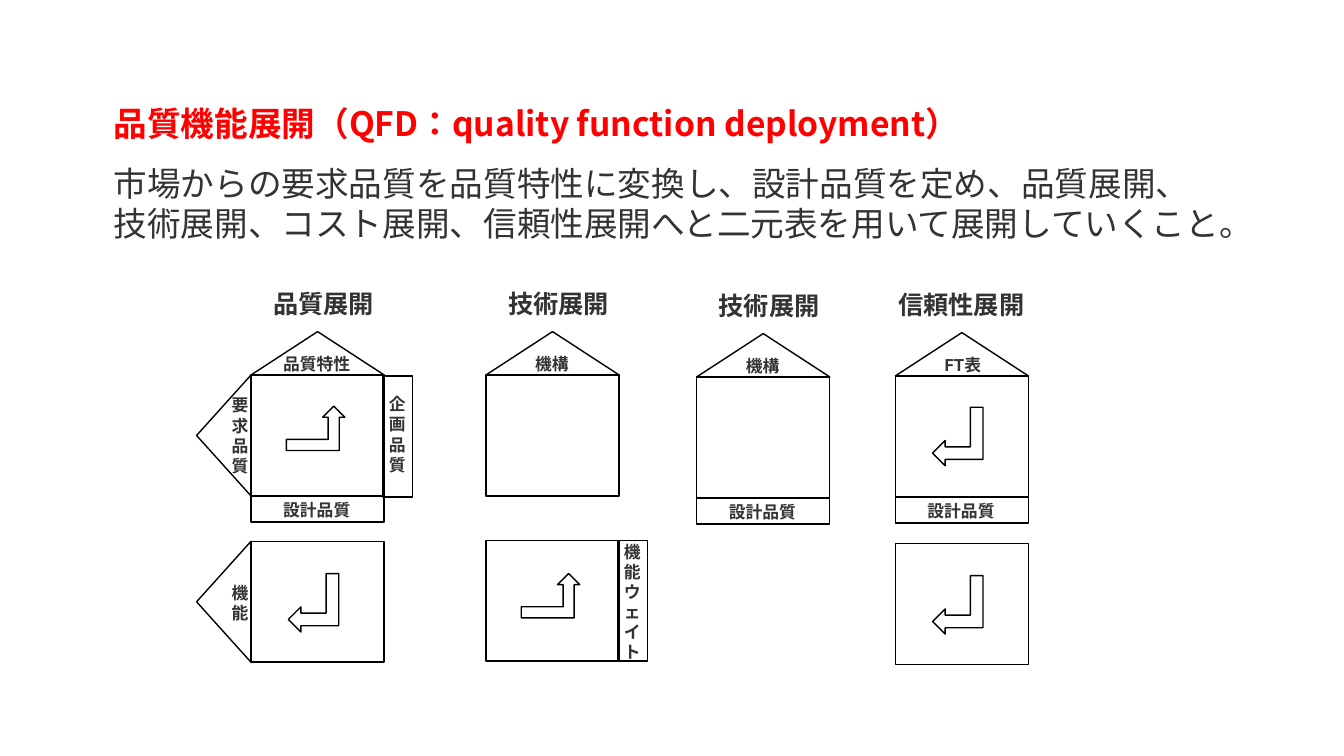
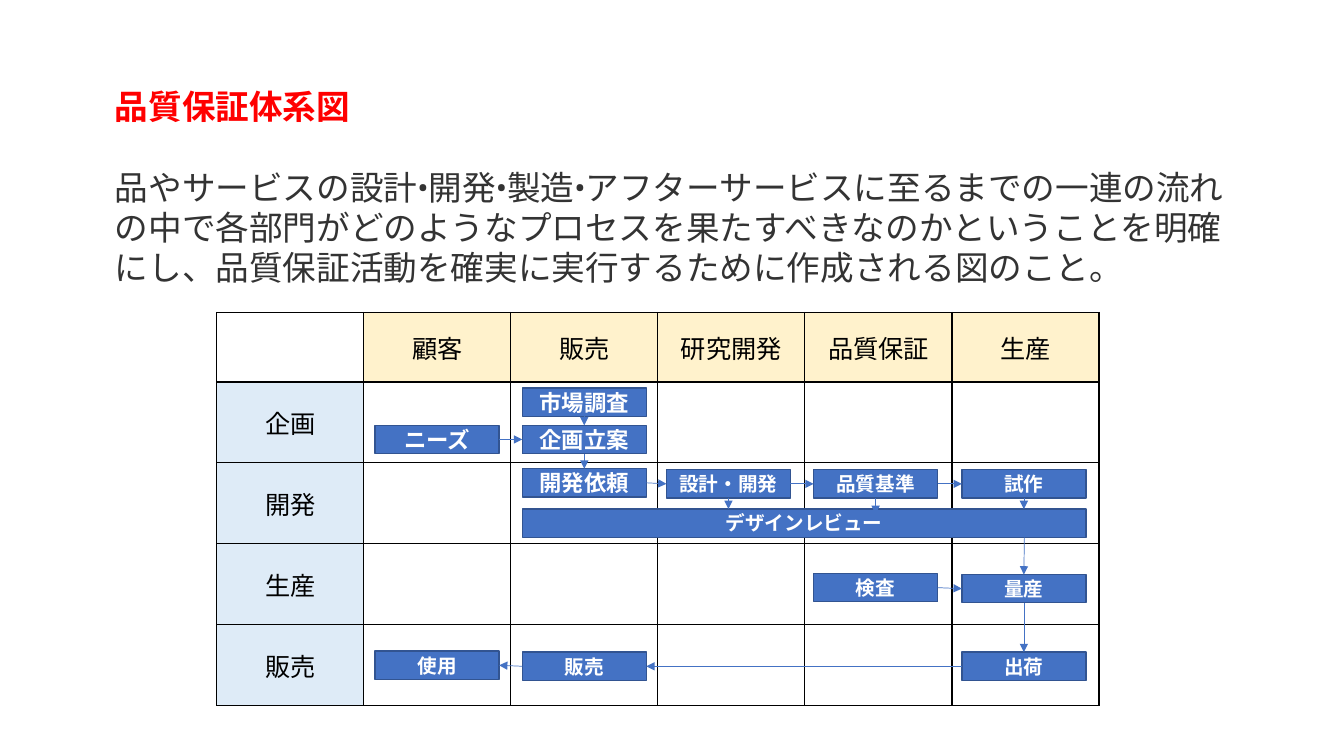
from lxml.etree import SubElement
from pptx import Presentation
from pptx.dml.color import RGBColor
from pptx.enum.shapes import MSO_CONNECTOR, MSO_SHAPE
from pptx.enum.text import MSO_ANCHOR, PP_ALIGN
from pptx.oxml.ns import qn
from pptx.util import Emu, Pt

TOP, LEFT, BOTTOM, RIGHT = range(4)


def px(length):
    return Emu(int(length * 9144))


def color(value):
    return RGBColor.from_string(value)


class Board:
    HEADING_FACE = "Noto Sans CJK JP"
    BODY_FACE = "Roboto"
    RED, GRAY, BLACK, WHITE = "FF0000", "333333", "000000", "FFFFFF"
    BLUE, DARK_BLUE = "4472C4", "325491"
    CREAM, PALE_BLUE = "FFF2CC", "DEEBF7"

    def __init__(self):
        self.deck = Presentation()
        self.deck.slide_width = px(1333)
        self.deck.slide_height = px(750)
        self.page = None

    def new_page(self):
        self.page = self.deck.slides.add_slide(self.deck.slide_layouts[6])

    def format(self, para, size, ink, bold, face):
        for span in para.runs:
            span.font.size = Pt(size)
            span.font.bold = bold
            span.font.color.rgb = color(ink)
            span.font.name = face
            properties = span._r.get_or_add_rPr()
            properties.set("lang", "ja-JP")
            SubElement(properties, qn("a:ea"), typeface=face)

    def center(self, para, size, ink, bold):
        para.alignment = PP_ALIGN.CENTER
        self.format(para, size, ink, bold, self.HEADING_FACE)

    def text(self, left, top, width, height, words):
        box = self.page.shapes.add_textbox(px(left), px(top), px(width), px(height))
        box.text_frame.word_wrap = True
        box.text_frame.text = words
        return box.text_frame.paragraphs

    def label(self, left, top, width, height, words, size=12):
        for para in self.text(left, top, width, height, words):
            self.format(para, size, self.GRAY, True, self.BODY_FACE)

    def intro(self, left, top, width, height, title, body, gap):
        heading, para = self.text(left, top, width, height, f"{title}\n{body}")
        self.format(heading, 24, self.RED, True, self.HEADING_FACE)
        self.format(para, 24, self.GRAY, False, self.BODY_FACE)
        para.space_before = Pt(gap)

    def shape(self, kind, left, top, width, height, fill=None, line=BLACK, turn=0):
        shape = self.page.shapes.add_shape(kind, px(left), px(top), px(width), px(height))
        shape.shadow.inherit = False
        if fill:
            shape.fill.solid()
            shape.fill.fore_color.rgb = color(fill)
        else:
            shape.fill.background()
        shape.line.color.rgb = color(line)
        shape.line.width = Pt(1)
        shape.rotation = turn
        return shape

    def matrix(self, left, top):
        self.shape(MSO_SHAPE.RECTANGLE, left, top, 132, 120)

    def house(self, left, top, title, roof, title_shift=12, roof_shift=39):
        self.matrix(left, top)
        self.shape(MSO_SHAPE.ISOSCELES_TRIANGLE, left, top - 43, 132, 43)
        self.label(left + title_shift, top - 91, 158, 40, title, 18)
        self.label(left + roof_shift, top - 26, 110, 30, roof)

    def base(self, left, top, words):
        self.shape(MSO_SHAPE.RECTANGLE, left, top + 120, 132, 26)
        self.label(left + 22, top + 119, 132, 30, words)

    def wing(self, left, top, words, drop, height):
        self.shape(MSO_SHAPE.ISOSCELES_TRIANGLE, left - 87, top + 33, 120, 54, turn=270)
        self.label(left - 29, top + drop, 40, height, words)

    def side(self, left, top, words, drop, height):
        self.shape(MSO_SHAPE.RECTANGLE, left + 131, top, 29, 120)
        self.label(left + 127, top + drop, 40, height, words)

    def up_arrow(self, left, top):
        self.shape(MSO_SHAPE.BENT_UP_ARROW, left + 35, top + 32, 58, 44)

    def left_arrow(self, left, top):
        arrow = self.shape(MSO_SHAPE.BENT_UP_ARROW, left + 33, top + 36, 58, 50, turn=90)
        arrow._element.spPr.find(qn("a:xfrm")).set("flipV", "1")

    def process(self, left, top, words, size=14, width=123):
        box = self.shape(MSO_SHAPE.FLOWCHART_PROCESS, left, top, width, 28,
                         self.BLUE, self.DARK_BLUE)
        box.text_frame.text = words
        box.text_frame.vertical_anchor = MSO_ANCHOR.MIDDLE
        self.center(box.text_frame.paragraphs[0], size, self.WHITE, True)
        return box

    def arrow(self, left, top, right, bottom):
        line = self.page.shapes.add_connector(
            MSO_CONNECTOR.STRAIGHT, px(left), px(top), px(right), px(bottom))
        line.line.color.rgb = color(self.BLUE)
        line.line.width = Pt(0.5)
        SubElement(line.line._get_or_add_ln(), qn("a:tailEnd"), type="triangle")
        SubElement(line._element.spPr, qn("a:effectLst"))
        return line

    def join(self, source, source_side, target, target_side):
        line = self.arrow(0, 0, 0, 0)
        line.begin_connect(source, source_side)
        line.end_connect(target, target_side)

    def drop(self, source, length):
        line = self.arrow(0, 0, 0, 0)
        line.begin_connect(source, BOTTOM)
        line.end_x = line.begin_x
        line.end_y = line.begin_y + px(length)

    def border(self, cell):
        properties = cell._tc.get_or_add_tcPr()
        for edge in ("lnL", "lnR", "lnT", "lnB"):
            line = SubElement(properties, qn(f"a:{edge}"), w="12700")
            fill = SubElement(line, qn("a:solidFill"))
            SubElement(fill, qn("a:srgbClr"), val=self.BLACK)

    def grid(self, left, top, width, height, header_height, columns, rows):
        table = self.page.shapes.add_table(len(rows) + 1, len(columns) + 1, px(left),
                                           px(top), px(width), px(height)).table
        table.first_row = table.horz_banding = False
        for column in table.columns:
            column.width = px(width / len(table.columns))
        row_height = (height - header_height) / len(rows)
        for index, row in enumerate(table.rows):
            row.height = px(row_height if index else header_height)
        for cell in table.iter_cells():
            self.border(cell)
            cell.fill.background()
        for index, words in enumerate(columns, 1):
            self.head(table.cell(0, index), words, self.CREAM)
        for index, words in enumerate(rows, 1):
            self.head(table.cell(index, 0), words, self.PALE_BLUE)

    def head(self, cell, words, fill):
        cell.fill.solid()
        cell.fill.fore_color.rgb = color(fill)
        cell.vertical_anchor = MSO_ANCHOR.MIDDLE
        cell.text_frame.text = words
        self.center(cell.text_frame.paragraphs[0], 18, self.BLACK, False)


def deployment_page(board):
    board.new_page()
    board.intro(103, 97, 1127, 151, "品質機能展開（QFD：quality function deployment）",
                "市場からの要求品質を品質特性に変換し、設計品質を定め、品質展開、　"
                "技術展開、コスト展開、信頼性展開へと二元表を用いて展開していくこと。", 14)
    quality, technology, mechanism, reliability = 249, 482, 691, 888

    board.house(quality, 372, "品質展開", "品質特性", roof_shift=22)
    board.wing(quality, 372, "要\n求\n品\n質", 15, 91)
    board.up_arrow(quality, 371)
    board.base(quality, 372, "設計品質")
    board.side(quality, 373, "企画\n品\n質", 13, 91)
    board.matrix(quality, 537)
    board.wing(quality, 537, "機能", 36, 50)
    board.left_arrow(quality, 537)

    board.house(technology, 372, "技術展開", "機構")
    board.matrix(technology, 536)
    board.up_arrow(technology, 537)
    board.side(technology, 536, "機能ウェイト", -4, 131)

    board.house(mechanism, 374, "技術展開", "機構")
    board.base(mechanism, 374, "設計品質")

    board.house(reliability, 373, "信頼性展開", "FT表", title_shift=-7)
    board.base(reliability, 373, "設計品質")
    board.left_arrow(reliability, 372)
    board.matrix(reliability, 539)
    board.left_arrow(reliability, 539)


def assurance_page(board):
    board.new_page()
    board.intro(104, 80, 1129, 212, "品質保証体系図",
                "品やサービスの設計•開発•製造•アフターサービスに至るまでの一連の流れ"
                "の中で各部門がどのようなプロセスを果たすべきなのかということを明確"
                "にし、品質保証活動を確実に実行するために作成される図のこと。", 29)
    board.grid(215, 310, 875, 390, 69, ["顧客", "販売", "研究開発", "品質保証", "生産"],
               ["企画", "開発", "生産", "販売"])
    customer, sales, research, assurance, production = 372, 518, 661, 807, 954

    needs = board.process(customer, 422, "ニーズ", 16)
    plan = board.process(sales, 422, "企画立案", 16)
    survey = board.process(sales, 385, "市場調査", 16)
    request = board.process(sales, 465, "開発依頼", 16)
    design = board.process(research, 466, "設計・開発")
    standard = board.process(assurance, 466, "品質基準")
    trial = board.process(production, 466, "試作")
    board.process(sales, 505, "デザインレビュー", width=559)
    volume = board.process(production, 570, "量産")
    inspection = board.process(assurance, 569, "検査")
    shipping = board.process(production, 647, "出荷")
    selling = board.process(sales, 647, "販売")
    usage = board.process(customer, 646, "使用")

    for source, target in ((survey, plan), (plan, request), (volume, shipping)):
        board.join(source, BOTTOM, target, TOP)
    for source, target in ((needs, plan), (request, design), (design, standard),
                           (standard, trial), (inspection, volume)):
        board.join(source, RIGHT, target, LEFT)
    for source, target in ((shipping, selling), (selling, usage)):
        board.join(source, LEFT, target, RIGHT)
    for source, length in ((design, 11), (standard, 16), (trial, 11)):
        board.drop(source, length)
    board.arrow(1016, 533, 1016, 570).end_connect(volume, TOP)


def main():
    board = Board()
    deployment_page(board)
    assurance_page(board)
    board.deck.save("out.pptx")


if __name__ == "__main__":
    main()
